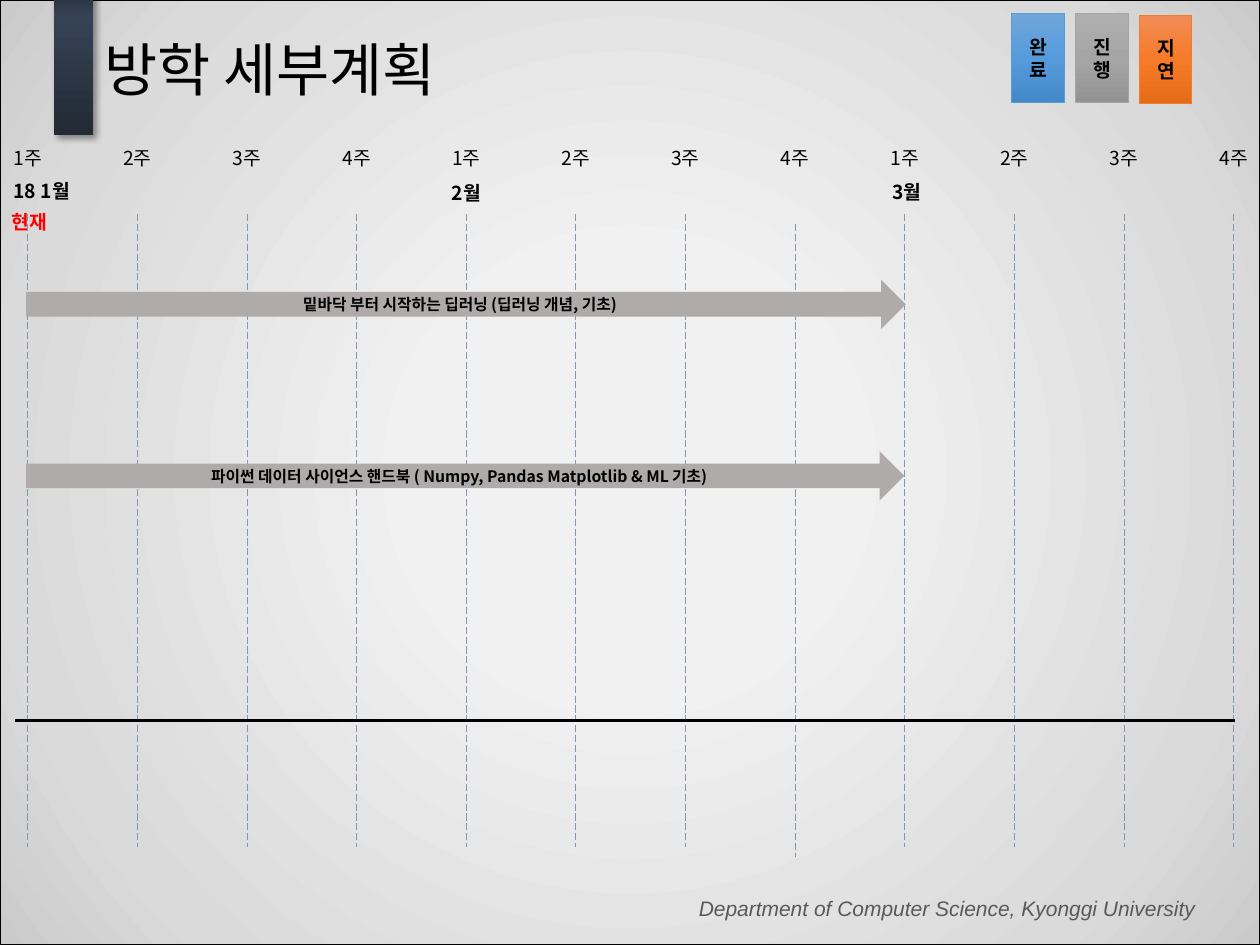
from dataclasses import dataclass

from lxml.etree import SubElement
from pptx import Presentation
from pptx.dml.color import RGBColor
from pptx.enum.dml import MSO_LINE
from pptx.enum.shapes import MSO_CONNECTOR, MSO_SHAPE
from pptx.enum.text import MSO_ANCHOR, MSO_AUTO_SIZE, PP_ALIGN
from pptx.oxml import parse_xml
from pptx.oxml.ns import nsdecls, qn
from pptx.util import Cm, Pt


@dataclass(frozen=True)
class Theme:
    font: str = "Noto Sans CJK KR"
    footer_font: str = "Arial"
    ink: str = "000000"
    footer: str = "595959"
    now: str = "FF0000"
    guide: str = "8497B0"
    task: str = "AFABAB"
    backdrop: tuple = ((27, "F1F1F1"), (80, "DADADA"), (100, "CACACA"))
    bar: tuple = ((0, "222A35"), (80, "364355"), (100, "222A35"))
    done: tuple = ("5B9BD5", ((0, "71A6DB"), (50, "559BDB"), (100, "448ACA")))
    active: tuple = ("A5A5A5", ((0, "AFAFAF"), (50, "A5A5A5"), (100, "939393")))
    late: tuple = ("ED7D31", ((0, "F18C57"), (50, "F67B28"), (100, "E56C19")))
    title_size: int = 33
    footer_size: int = 12
    label_size: int = 11
    task_size: int = 9


T = Theme()


def rgb(value):
    return RGBColor.from_string(value)


def put_text(sp, text, size=T.label_size, color=T.ink, font=T.font, bold=False,
             italic=False, align=PP_ALIGN.CENTER, anchor=MSO_ANCHOR.TOP,
             side=0.25, spacing=None):
    tf = sp.text_frame
    tf.word_wrap = True
    tf.auto_size = MSO_AUTO_SIZE.NONE
    tf.vertical_anchor = anchor
    tf.margin_left = tf.margin_right = Cm(side)
    tf.margin_top = tf.margin_bottom = Cm(0.13)
    p = tf.paragraphs[0]
    p.text = text
    p.alignment = align
    p.line_spacing = spacing
    for r in p.runs:
        f = r.font
        f.size, f.bold, f.italic, f.name = Pt(size), bold, italic, font
        f.color.rgb = rgb(color)
        SubElement(r._r.get_or_add_rPr(), qn("a:ea"), typeface=font)


def add_label(s, box, text, **fmt):
    put_text(s.shapes.add_textbox(*map(Cm, box)), text, **fmt)


def add_box(s, box, fill, line=None, kind=MSO_SHAPE.RECTANGLE):
    sp = s.shapes.add_shape(kind, *map(Cm, box))
    sp.shadow.inherit = False
    if isinstance(fill, str):
        sp.fill.solid()
        sp.fill.fore_color.rgb = rgb(fill)
    else:
        set_gradient(sp, *fill)
    if line:
        sp.line.color.rgb = rgb(line)
        sp.line.width = Pt(0.5)
    else:
        sp.line.fill.background()
    return sp


def set_gradient(sp, stops, angle=None):
    stop_xml = "".join(f'<a:gs pos="{pos * 1000}"><a:srgbClr val="{c}"/></a:gs>'
                       for pos, c in stops)
    if angle is None:
        shade = ('<a:path path="circle"><a:fillToRect l="50000" t="50000" '
                 'r="50000" b="50000"/></a:path>')
    else:
        shade = f'<a:lin ang="{angle * 60000}" scaled="0"/>'
    sp.fill.background()
    spPr = sp._element.spPr
    spPr.replace(spPr.find(qn("a:noFill")), parse_xml(
        f'<a:gradFill {nsdecls("a")} rotWithShape="1"><a:gsLst>{stop_xml}</a:gsLst>'
        f'{shade}</a:gradFill>'))


def add_shadow(sp):
    effects = sp._element.spPr.find(qn("a:effectLst"))
    effects.append(parse_xml(
        f'<a:outerShdw {nsdecls("a")} blurRad="{Pt(4)}" dist="{Pt(3)}" dir="2700000" '
        'algn="tl" rotWithShape="0"><a:srgbClr val="000000"><a:alpha val="40000"/>'
        '</a:srgbClr></a:outerShdw>'))


def add_line(s, ends, color, width, dash=None):
    c = s.shapes.add_connector(MSO_CONNECTOR.STRAIGHT, *map(Cm, ends))
    c.line.color.rgb = rgb(color)
    c.line.width = Pt(width)
    if dash:
        c.line.dash_style = dash
    SubElement(c._element.spPr, qn("a:effectLst"))


def add_frame(s, box):
    x, y, w, h = box
    add_box(s, box, (T.backdrop,), T.ink)
    add_label(s, (x + 4.9, y + h - 1.12, 19.46, 0.76),
              "Department of Computer Science, Kyonggi University",
              size=T.footer_size, color=T.footer, font=T.footer_font,
              italic=True, align=PP_ALIGN.RIGHT)


def add_title(s, box, text):
    x, y, w, h = box
    add_shadow(add_box(s, (x - 0.76, y + 0.1, 0.79, 3), (T.bar, 270)))
    sp = s.shapes.title
    s.shapes._spTree.append(sp._element)
    sp.left, sp.top, sp.width, sp.height = map(Cm, box)
    put_text(sp, text, size=T.title_size, align=PP_ALIGN.LEFT,
             anchor=MSO_ANCHOR.MIDDLE, spacing=0.9)


def add_legend(s, box):
    x, y, w, h = box
    item_w = 1.05
    gap = (w - 3 * item_w) / 2
    items = (("완\n료", T.done, 0), ("진\n행", T.active, 0), ("지\n연", T.late, 0.03))
    for i, (text, (line, stops), drop) in enumerate(items):
        sp = add_box(s, (x + i * (item_w + gap), y + drop, item_w, h), (stops, 90), line)
        put_text(sp, text, bold=True, anchor=MSO_ANCHOR.MIDDLE, side=0)


def add_calendar(s, box):
    x, y, w, h = box
    step = w / 11
    top = y + 1.5
    for i in range(12):
        cx = x + i * step
        drop = 0.2 if i == 7 else 0
        add_line(s, (cx, top + drop, cx, y + h + drop), T.guide, 0.5, MSO_LINE.LONG_DASH)
        add_label(s, (cx - 0.75, y, 1.5, 0.74), f"{i % 4 + 1}주")
    months = (("18 1월", 0, 0.28, 0.66), ("2월", 4, 0, 0.71), ("3월", 8, 0.04, 0.69))
    for text, week, shift, drop in months:
        add_label(s, (x + week * step + shift - 1.25, y + drop, 2.5, 0.74), text, bold=True)
    add_label(s, (x - 0.53, y + 1.3, 1.14, 0.69), "현재", color=T.now, bold=True,
              anchor=MSO_ANCHOR.MIDDLE, side=0)
    add_line(s, (x - 0.25, y + 11.71, x + w + 0.03, y + 11.71), T.ink, 1.5)


def add_task(s, box, text):
    sp = add_box(s, box, T.task, kind=MSO_SHAPE.RIGHT_ARROW)
    put_text(sp, text, size=T.task_size, bold=True, anchor=MSO_ANCHOR.MIDDLE, side=0)


def main():
    prs = Presentation()
    prs.slide_width, prs.slide_height = Cm(25.4), Cm(19.05)
    s = prs.slides.add_slide(prs.slide_layouts[5])
    add_frame(s, (0, 0, 25.4, 19.05))
    add_title(s, (1.85, -0.38, 21.9, 3.68), "방학 세부계획")
    add_calendar(s, (0.56, 2.82, 24.31, 14.25))
    add_legend(s, (20.4, 0.28, 3.63, 1.78))
    add_task(s, (0.53, 5.64, 17.73, 0.99),
             "밑바닥 부터 시작하는 딥러닝 (딥러닝 개념, 기초)")
    add_task(s, (0.53, 9.1, 17.7, 0.99),
             "파이썬 데이터 사이언스 핸드북 ( Numpy, Pandas Matplotlib & ML 기초)")
    prs.save("out.pptx")


if __name__ == "__main__":
    main()
